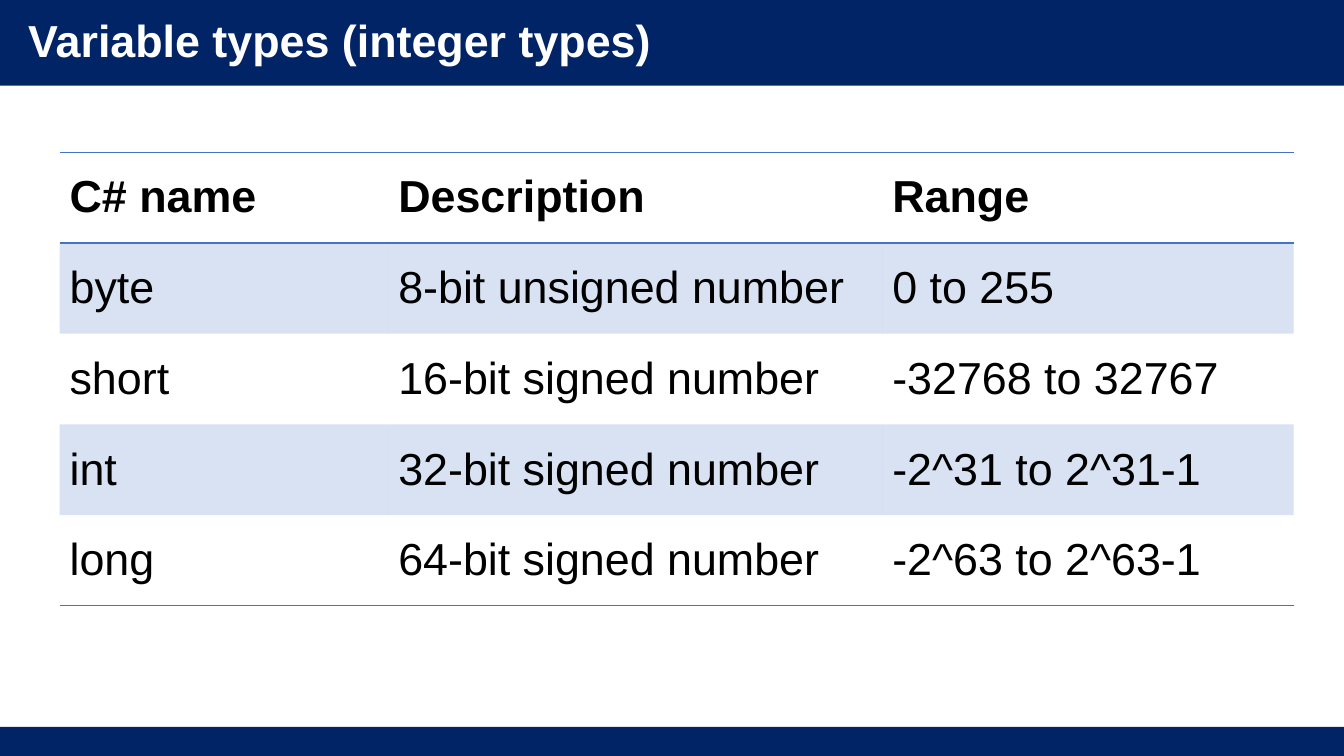
from lxml import etree
from pptx import Presentation
from pptx.dml.color import RGBColor
from pptx.enum.shapes import MSO_SHAPE
from pptx.enum.text import MSO_ANCHOR, MSO_AUTO_SIZE, PP_ALIGN
from pptx.oxml.ns import qn
from pptx.util import Inches, Pt

RECTANGLE = MSO_SHAPE.RECTANGLE
MIDDLE = MSO_ANCHOR.MIDDLE
TOP = MSO_ANCHOR.TOP
LEFT = PP_ALIGN.LEFT
NO_AUTOFIT = MSO_AUTO_SIZE.NONE

COLORS = {"navy": "002466", "blue": "4472C4", "white": "FFFFFF", "black": "000000"}
FONT = {"name": "Arial", "size": Pt(32)}
PLAIN_TABLE_STYLE = "{2D5ABB26-0587-4C30-8999-92F81FD0307C}"
CELL_FORMAT = {
    "margin_left": Inches(0.1),
    "margin_right": Inches(0.1),
    "margin_top": Inches(0.2),
    "margin_bottom": Inches(0.2),
    "vertical_anchor": TOP,
}
TITLE_FRAME = {"word_wrap": True, "auto_size": NO_AUTOFIT, "vertical_anchor": MIDDLE}
TITLE_PARAGRAPH = {"alignment": LEFT, "line_spacing": 0.9, "space_before": Pt(10)}

SLIDE_WIDTH, SLIDE_HEIGHT = 13.33, 7.5
HEADER_HEIGHT, FOOTER_HEIGHT = 0.85, 0.29
COLUMN_WIDTHS = [3.26, 4.9, 4.08]
ROW_HEIGHT = 0.9
INTEGER_TYPES = [
    ("C# name", "Description", "Range"),
    ("byte", "8-bit unsigned number", "0 to 255"),
    ("short", "16-bit signed number", "-32768 to 32767"),
    ("int", "32-bit signed number", "-2^31 to 2^31-1"),
    ("long", "64-bit signed number", "-2^63 to 2^63-1"),
]


def set_attributes(target, values):
    for name, value in values.items():
        setattr(target, name, value)


def format_font(font, color, bold):
    set_attributes(font, {**FONT, "bold": bold})
    font.color.rgb = RGBColor.from_string(COLORS[color])


def add_bar(slide, left, top, width, height):
    bar = slide.shapes.add_shape(
        RECTANGLE, Inches(left), Inches(top), Inches(width), Inches(height)
    )
    bar.shadow.inherit = False
    bar.fill.solid()
    bar.fill.fore_color.rgb = RGBColor.from_string(COLORS["navy"])
    bar.line.fill.background()


def add_header(slide, left, top, width, height, text):
    add_bar(slide, left, top, width, height)
    title = slide.shapes.title
    set_attributes(title, {
        "left": Inches(left + 0.18),
        "top": Inches(top + 0.14),
        "width": Inches(9.28),
        "height": Inches(height - 0.28),
    })
    title.text = text
    set_attributes(title.text_frame, TITLE_FRAME)
    paragraph = title.text_frame.paragraphs[0]
    set_attributes(paragraph, TITLE_PARAGRAPH)
    format_font(paragraph.runs[0].font, "white", True)
    slide.shapes._spTree.append(title._element)


def add_borders(cell, sides):
    properties = cell._tc.get_or_add_tcPr()
    for position, side in enumerate(sides):
        line = etree.Element(qn(f"a:{side}"), w=str(Pt(1)))
        fill = etree.SubElement(line, qn("a:solidFill"))
        etree.SubElement(fill, qn("a:srgbClr"), val=COLORS["blue"])
        properties.insert(position, line)


def fill_cell(cell, banded):
    if not banded:
        cell.fill.background()
        return
    cell.fill.solid()
    cell.fill.fore_color.rgb = RGBColor.from_string(COLORS["blue"])
    color = cell._tc.tcPr.find(".//" + qn("a:srgbClr"))
    etree.SubElement(color, qn("a:alpha"), val="20000")


def write_cell(cell, text, bold):
    set_attributes(cell, CELL_FORMAT)
    cell.text = text
    paragraph = cell.text_frame.paragraphs[0]
    indent = Inches(0.38)
    properties = paragraph._p.get_or_add_pPr()
    properties.set("marL", str(indent))
    properties.set("indent", str(-indent))
    format_font(paragraph.runs[0].font, "black", bold)


def add_type_table(slide, left, top, column_widths, row_height, rows):
    frame = slide.shapes.add_table(
        len(rows), len(column_widths), Inches(left), Inches(top),
        Inches(sum(column_widths)), Inches(row_height * len(rows)),
    )
    table = frame.table
    table._tbl.tblPr.find(qn("a:tableStyleId")).text = PLAIN_TABLE_STYLE
    for column, width in zip(table.columns, column_widths):
        column.width = Inches(width)
    borders = {0: ["lnT", "lnB"], len(rows) - 1: ["lnB"]}
    for row_index, texts in enumerate(rows):
        table.rows[row_index].height = Inches(row_height)
        for column_index, text in enumerate(texts):
            cell = table.cell(row_index, column_index)
            write_cell(cell, text, row_index == 0)
            fill_cell(cell, row_index % 2 == 1)
            add_borders(cell, borders.get(row_index, []))


def main():
    presentation = Presentation()
    presentation.slide_width = Inches(SLIDE_WIDTH)
    presentation.slide_height = Inches(SLIDE_HEIGHT)
    slide = presentation.slides.add_slide(presentation.slide_layouts[5])
    add_bar(slide, 0, SLIDE_HEIGHT - FOOTER_HEIGHT, SLIDE_WIDTH, FOOTER_HEIGHT)
    add_header(slide, 0, 0, SLIDE_WIDTH, HEADER_HEIGHT, "Variable types (integer types)")
    add_type_table(slide, 0.59, 1.51, COLUMN_WIDTHS, ROW_HEIGHT, INTEGER_TYPES)
    presentation.save("out.pptx")


if __name__ == "__main__":
    main()
